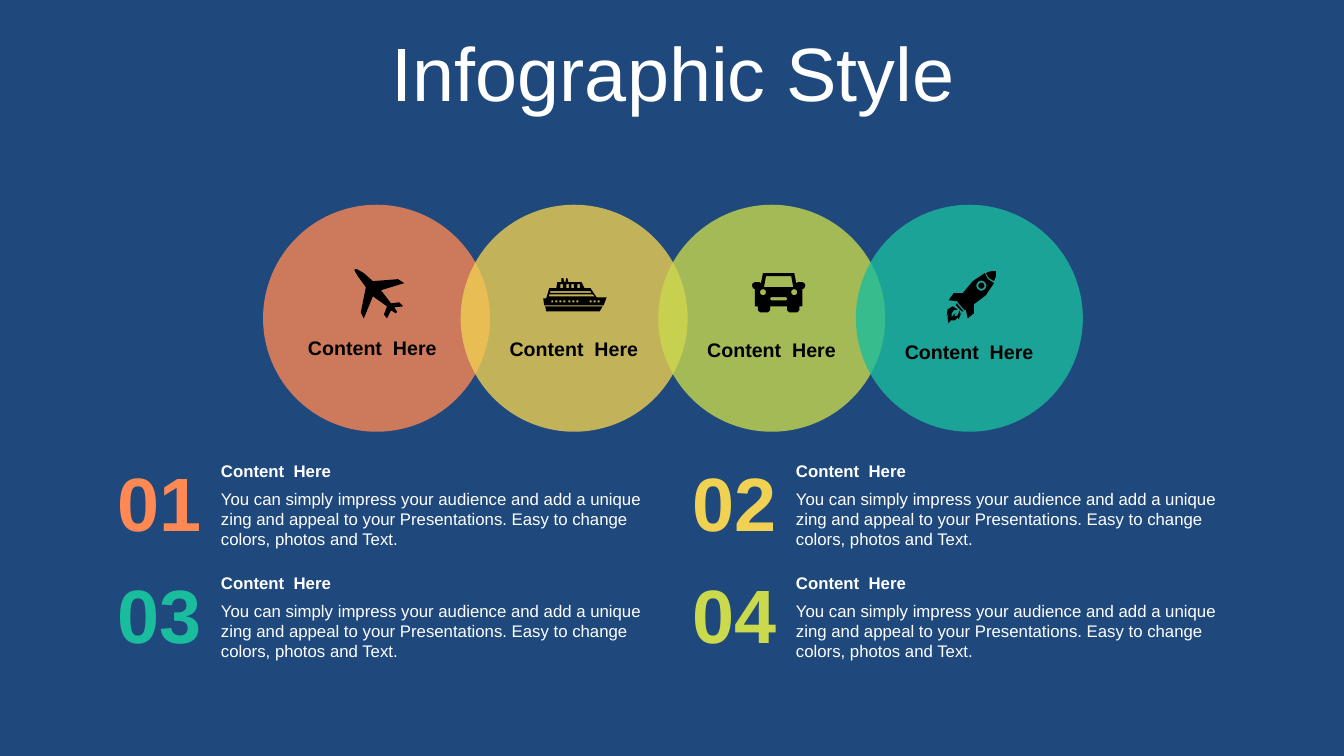
import math
import pptx
import pptx.util
import pptx.dml.color
import pptx.enum.shapes
import pptx.enum.text
import lxml.etree

Cm = pptx.util.Cm
Align = pptx.enum.text.PP_ALIGN
Anchor = pptx.enum.text.MSO_ANCHOR
HUES = {"navy": "1F497D", "white": "FFFFFF", "black": "000000",
        "coral": "FF8853", "gold": "F0D152", "lime": "CADA4C", "teal": "19BD9E"}
RGB = {name: pptx.dml.color.RGBColor.from_string(code) for name, code in HUES.items()}


def write(box, text, size, hue, bold=False, align=Align.LEFT, anchor=Anchor.MIDDLE,
          pad=(0.25, 0.13, 0.25, 0.13)):
    frame = box.text_frame
    frame.word_wrap = True
    frame.vertical_anchor = anchor
    frame.margin_left, frame.margin_top, frame.margin_right, frame.margin_bottom = map(Cm, pad)
    para = frame.paragraphs[0]
    para.alignment = align
    run = para.add_run()
    run.text = text
    run.font.name = "Arial"
    run.font.size = pptx.util.Pt(size)
    run.font.bold = bold
    run.font.color.rgb = RGB[hue]
    return para


def ring(x, y, radius):
    turns = [math.tau * step / 24 for step in range(24)]
    return [(x + radius * math.cos(turn), y + radius * math.sin(turn)) for turn in turns]


deck = pptx.Presentation()
deck.slide_width = Cm(33.87)
deck.slide_height = Cm(19.05)
slide = deck.slides.add_slide(deck.slide_layouts[5])
slide.background.fill.solid()
slide.background.fill.fore_color.rgb = RGB["navy"]
shapes = slide.shapes

title = shapes.title
title.left, title.top, title.width, title.height = Cm(0.89), Cm(0.94), Cm(32.16), Cm(2.01)
para = write(title, "Infographic Style", 54, "white", align=Align.CENTER)
para.line_spacing = 0.9
para.space_before = pptx.util.Pt(10)

for place, hue in enumerate(["coral", "gold", "lime", "teal"]):
    disc = shapes.add_shape(pptx.enum.shapes.MSO_SHAPE.OVAL,
                            Cm(6.63 + 4.98 * place), Cm(5.16), Cm(5.72), Cm(5.72))
    disc.shadow.inherit = False
    disc.fill.solid()
    disc.fill.fore_color.rgb = RGB[hue]
    disc.line.fill.background()
    tint = disc.fill._xPr.find(".//" + pptx.oxml.ns.qn("a:srgbClr"))
    lxml.etree.SubElement(tint, pptx.oxml.ns.qn("a:alpha"), val="78000")

BODY = ("You can simply impress your audience and add a unique zing and appeal "
        "to your Presentations. Easy to change colors, photos and Text.")
ITEMS = [("01", "coral", 0, 0), ("03", "teal", 0, 1), ("02", "gold", 1, 0), ("04", "lime", 1, 1)]
for number, hue, col, row in ITEMS:
    left = 2.69 + 14.49 * col
    top = 11.48 + 2.82 * row
    pad = (0, 0.13, 0.25, 0.13)
    head = shapes.add_textbox(Cm(left + 2.88), Cm(top), Cm(11.3), Cm(0.76))
    write(head, "Content  Here", 12, "white", True, pad=pad)
    body = shapes.add_textbox(Cm(left + 2.88), Cm(top + 0.71), Cm(11.3), Cm(1.8))
    write(body, BODY, 12, "white", anchor=Anchor.TOP, pad=pad)
    digit = shapes.add_textbox(Cm(left), Cm(top), Cm(2.39), Cm(2.31))
    write(digit, number, 54, hue, True, Align.RIGHT, pad=(0, 0, 0, 0))

for place, left in enumerate([7.19, 12.27, 17.25, 22.23]):
    label = shapes.add_textbox(Cm(left), Cm(8.33 + 0.03 * place), Cm(4.39), Cm(0.86))
    write(label, "Content  Here", 14, "black", True, Align.CENTER)

car = [
    [(11, 0), (42, 0), (44, 10), (46, 9), (50, 9), (52, 10), (53, 12), (52, 15), (50, 16),
     (50, 33), (47, 33), (47, 37), (45, 39), (37, 39), (35, 37), (35, 33), (18, 33), (18, 37),
     (16, 39), (8, 39), (6, 37), (6, 33), (3, 33), (3, 16), (1, 15), (0, 12), (1, 10), (3, 9),
     (7, 9), (9, 10)],
    [(14, 3), (12, 14), (41, 14), (39, 3)],
    [(19, 24), (18, 25), (18, 26), (19, 27), (34, 27), (35, 26), (35, 25), (34, 24)],
    ring(11, 19, 3), ring(42, 19, 3),
]
rocket = [
    [(12, 38), (8, 39), (6, 42), (6, 46), (8, 43), (11, 42), (9, 43), (9, 45), (12, 44),
     (14, 39), (15, 43), (13, 48), (12, 46), (9, 49), (5, 49), (3, 52), (2, 47), (3, 42),
     (1, 45), (2, 38), (7, 35)],
    [(11, 32), (18, 40), (16, 40), (10, 34)],
    [(39, 2), (42, 8), (48, 12), (40, 24), (28, 33), (28, 42), (22, 47), (20, 38), (19, 39),
     (12, 31), (12, 30), (3, 29), (8, 22), (17, 22), (27, 10)],
    [(50, 0), (50, 5), (48, 10), (43, 7), (40, 2), (45, 0)],
    ring(35.5, 14.5, 5), ring(35.5, 14.5, 3),
]
ship = [
    [(2, 28), (59, 28), (56, 33), (3, 33)],
    [(23, 0), (24, 0), (25, 4), (38, 4), (41, 10), (47, 10), (53, 19), (63, 19), (60, 27),
     (1, 27), (0, 20), (3, 20), (6, 10), (13, 10), (14, 4), (18, 4), (18, 0), (20, 0),
     (21, 4), (22, 4)],
    [(6, 16), (6, 18), (51, 18), (49, 16)],
    [(7, 13), (7, 14.5), (48, 14.5), (47, 13)],
]
for lefts, top, wide, high in [((8, 12, 16, 20, 25, 29, 33, 46, 50, 54), 22, 2, 2),
                               ((17, 23, 28, 34), 6, 2.5, 4)]:
    for left in lefts:
        ship.append([(left, top), (left, top + high), (left + wide, top + high), (left + wide, top)])
plane = [
    [(48, 37), (39, 38), (42, 42), (41, 44), (36, 41), (32, 49), (29, 45), (32, 37), (18, 27),
     (9, 49), (6, 43), (11, 18), (3, 7), (0, 2), (0, 0), (2, 0), (9, 4), (18, 12), (43, 10),
     (49, 14), (26, 21), (36, 34), (44, 33)],
]

for loops, left, top in [(car, 18.95, 6.88), (rocket, 23.83, 6.83),
                         (ship, 13.69, 7.01), (plane, 8.94, 6.78)]:
    pen = shapes.build_freeform(0, 0, scale=Cm(2.54) / 1000)
    for place, loop in enumerate(loops):
        dots = [(x * 10, y * 10) for x, y in loop]
        if place == 0:
            pen = shapes.build_freeform(*dots[0], scale=Cm(2.54) / 1000)
        else:
            pen.move_to(*dots[0])
        pen.add_line_segments(dots[1:], close=True)
    icon = pen.convert_to_shape(Cm(left), Cm(top))
    icon.shadow.inherit = False
    icon.fill.solid()
    icon.fill.fore_color.rgb = RGB["black"]
    icon.line.fill.background()

deck.save("out.pptx")
